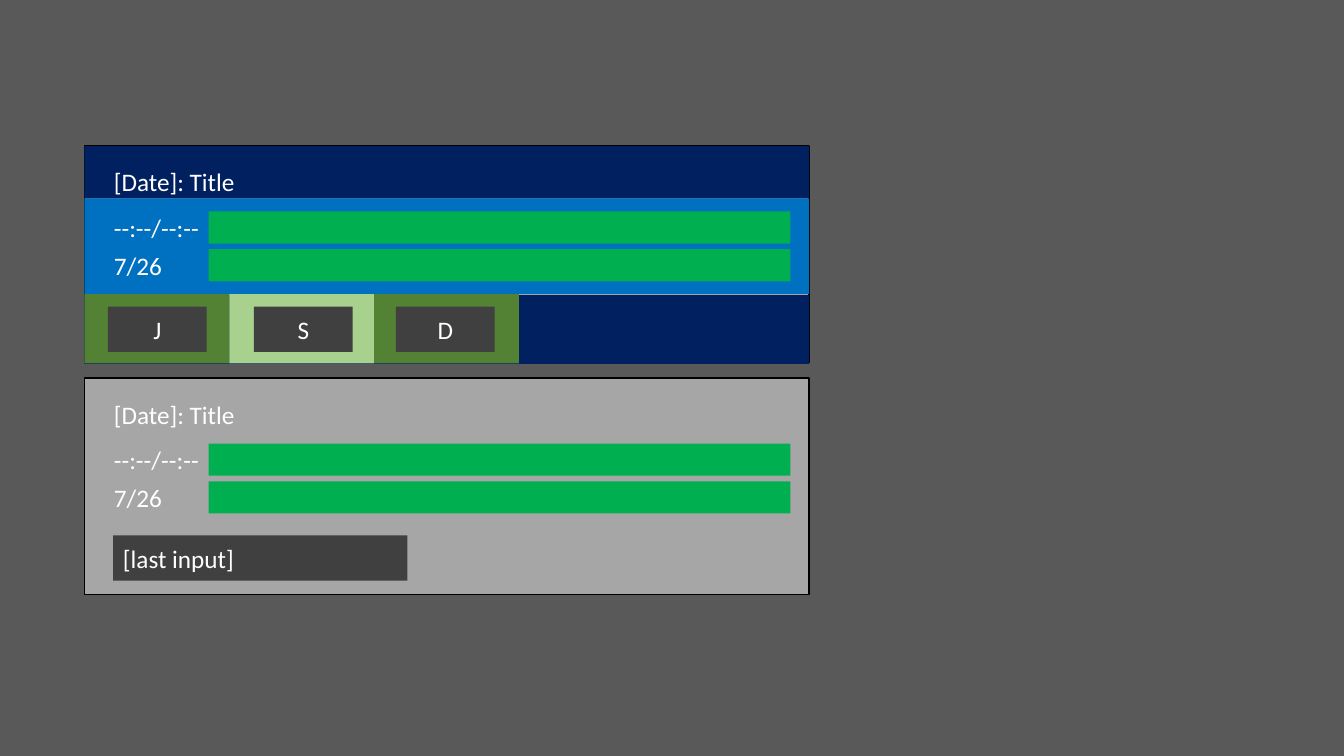
from pptx import Presentation
from pptx import util as u
from pptx.dml.color import RGBColor
from pptx.enum import shapes, text

BACKDROP = RGBColor(0x59, 0x59, 0x59)
PANEL_GREY = RGBColor(0xA6, 0xA6, 0xA6)
NAVY = RGBColor(0x00, 0x20, 0x60)
BLUE = RGBColor(0x00, 0x70, 0xC0)
BAR_GREEN = RGBColor(0x00, 0xB0, 0x50)
TAB_GREEN = RGBColor(0x54, 0x82, 0x35)
ACTIVE_GREEN = RGBColor(0xA9, 0xD1, 0x8E)
KEY_GREY = RGBColor(0x40, 0x40, 0x40)
WHITE = RGBColor(0xFF, 0xFF, 0xFF)
BLACK = RGBColor(0x00, 0x00, 0x00)

LEFT, WIDTH, HEIGHT = 2.13, 18.26, 5.46
TEXT_LEFT = 2.62
BAR_LEFT = 5.26
ROW_PITCH = 0.95
TAB_WIDTH = 3.65


class Painter:
    """Holds the text style and the slide being drawn; lengths are in cm."""

    def __init__(self, page, font="Calibri", size=18):
        self.page, self.font, self.size = page, font, size

    def add_words(self, shape, words, align):
        frame = shape.text_frame
        frame.word_wrap = True
        frame.vertical_anchor = text.MSO_ANCHOR.MIDDLE
        para = frame.paragraphs[0]
        para.alignment = align
        span = para.add_run()
        span.text = words
        span.font.name = self.font
        span.font.size = u.Pt(self.size)
        span.font.color.rgb = WHITE

    def block(self, left, top, width, height, fill, words=None,
              align=text.PP_ALIGN.CENTER, line=None):
        shape = self.page.shapes.add_shape(
            shapes.MSO_SHAPE.RECTANGLE,
            u.Cm(left), u.Cm(top), u.Cm(width), u.Cm(height))
        shape.shadow.inherit = False
        shape.fill.solid()
        shape.fill.fore_color.rgb = fill
        if line is None:
            shape.line.fill.background()
        else:
            shape.line.color.rgb = line
            shape.line.width = u.Pt(1)
        if words:
            self.add_words(shape, words, align)

    def label(self, top, width, words):
        box = self.page.shapes.add_textbox(
            u.Cm(TEXT_LEFT), u.Cm(top), u.Cm(width), u.Cm(1.07))
        self.add_words(box, words, text.PP_ALIGN.LEFT)

    def panel(self, top, strips=()):
        """Grey panel with optional colour strips, a title and two progress rows."""
        self.block(LEFT, top, WIDTH, HEIGHT, PANEL_GREY, line=BLACK)
        for offset, height, fill in strips:
            self.block(LEFT, top + offset, WIDTH, height, fill)
        self.label(top + 0.37, 6.38, "[Date]: Title")
        for row, words in enumerate(("--:--/--:--", "7/26")):
            row_top = top + row * ROW_PITCH
            self.block(BAR_LEFT, row_top + 1.65, 14.66, 0.81, BAR_GREEN)
            self.label(row_top + 1.52, 2.77, words)


deck = Presentation()
deck.slide_width, deck.slide_height = u.Cm(33.87), u.Cm(19.05)
page = deck.slides.add_slide(deck.slide_layouts[6])
page.background.fill.solid()
page.background.fill.fore_color.rgb = BACKDROP
painter = Painter(page)

# Active panel: title strip, progress strip, key strip
active_top = 3.68
painter.panel(active_top, [(0, 1.32, NAVY), (1.32, 2.41, BLUE), (3.76, 1.73, NAVY)])

# Key tabs, then the keys on them
for column, fill in enumerate((TAB_GREEN, ACTIVE_GREEN, TAB_GREEN)):
    painter.block(LEFT + column * TAB_WIDTH, active_top + 3.73, TAB_WIDTH, 1.75, fill)
for letter, key_left in (("J", 2.72), ("S", 6.4), ("D", 9.98)):
    painter.block(key_left, active_top + 4.05, 2.49, 1.14, KEY_GREY, letter)

# Idle panel with the last input
idle_top = 9.53
painter.panel(idle_top)
painter.block(2.85, idle_top + 3.96, 7.42, 1.14, KEY_GREY, "[last input]",
              text.PP_ALIGN.LEFT)

deck.save("out.pptx")
